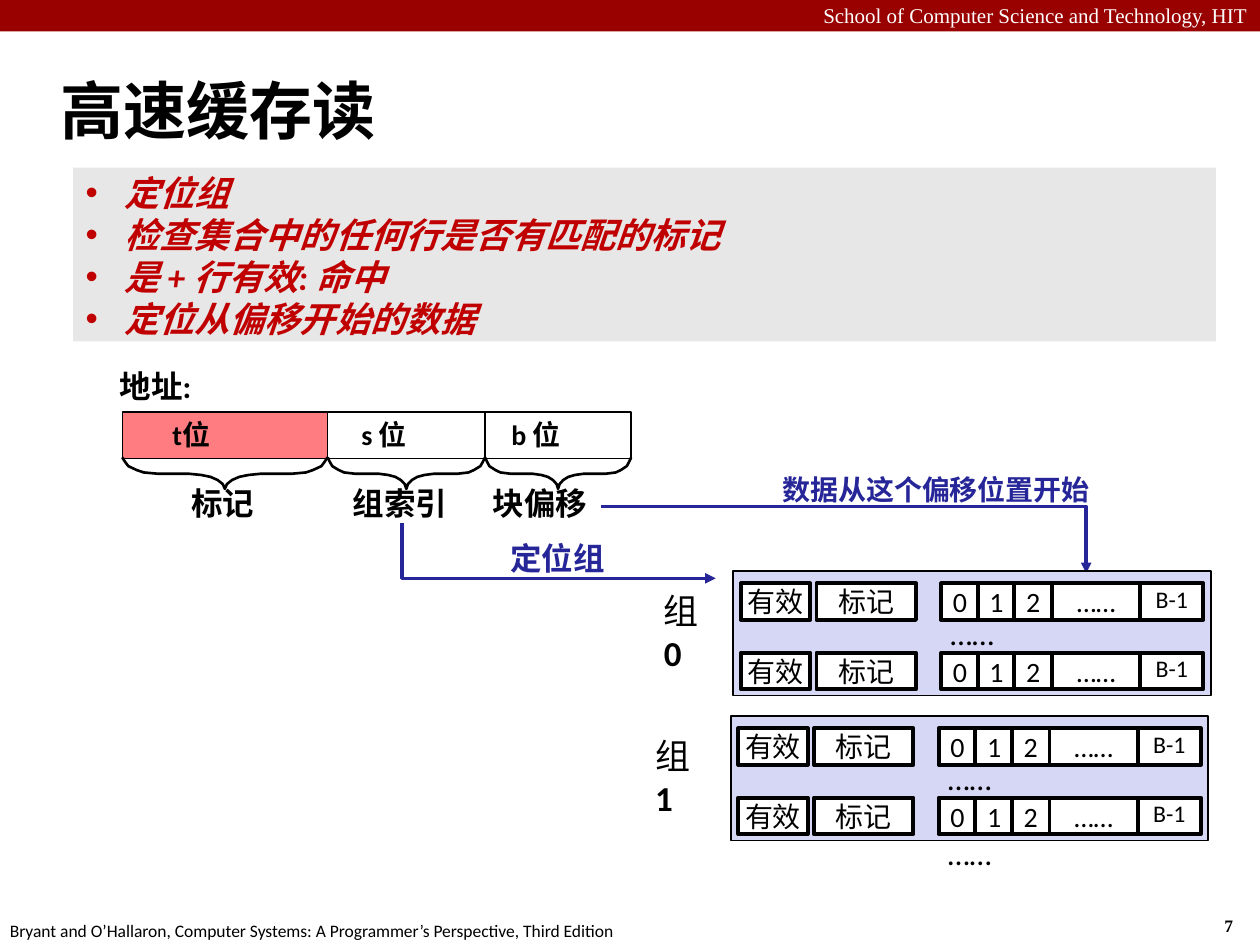
from pptx import Presentation
from pptx.dml.color import RGBColor
from pptx.enum.shapes import MSO_SHAPE as Preset
from pptx.enum.text import MSO_ANCHOR as Anchor, MSO_AUTO_SIZE as AutoSize, PP_ALIGN as Align
from pptx.oxml.ns import qn
from pptx.util import Inches, Pt
from lxml.etree import SubElement

COLORS = {
    "banner": "990000", "black": "000000", "white": "FFFFFF", "panel": "E7E7E7",
    "bullet": "C00000", "tag": "FF7C80", "arrow": "262699", "set": "D6D6F5",
}
BRACE_HALF = [
    (0, 0), (0.03, 0.15), (0.06, 0.28), (0.14, 0.4), (0.21, 0.48), (0.35, 0.52),
    (0.65, 0.52), (0.77, 0.56), (0.86, 0.62), (0.93, 0.72), (0.98, 0.85), (1, 1),
]
NO_INSETS = (0, 0, 0, 0)


def color(name):
    return RGBColor.from_string(COLORS[name])


def add_span(para, text, size, ink="black", bold=False, italic=False, font="Calibri"):
    span = para.add_run()
    span.text = text
    span.font.name = font
    span.font.size = Pt(size)
    span.font.bold = bold
    span.font.italic = italic
    span.font.color.rgb = color(ink)


def set_frame(frame, insets=(0.1, 0.05, 0.1, 0.05), anchor=Anchor.TOP, wrap=True):
    frame.auto_size = AutoSize.NONE
    frame.word_wrap = wrap
    frame.vertical_anchor = anchor
    (frame.margin_left, frame.margin_top,
     frame.margin_right, frame.margin_bottom) = map(Inches, insets)


def set_indent(para, left, first=0):
    props = para._p.get_or_add_pPr()
    props.set("marL", str(Inches(left)))
    props.set("indent", str(Inches(first)))


def place(shape, box):
    shape.left, shape.top, shape.width, shape.height = map(Inches, box)


def add_label(shapes, box, text, size, align=Align.LEFT, insets=NO_INSETS, wrap=True, **style):
    label = shapes.add_textbox(*map(Inches, box))
    set_frame(label.text_frame, insets, wrap=wrap)
    para = label.text_frame.paragraphs[0]
    para.alignment = align
    add_span(para, text, size, **style)
    return para


def add_rect(shapes, box, fill=None, line_width=0):
    rect = shapes.add_shape(Preset.RECTANGLE, *map(Inches, box))
    rect.shadow.inherit = False
    if fill:
        rect.fill.solid()
        rect.fill.fore_color.rgb = color(fill)
    else:
        rect.fill.background()
    if line_width:
        rect.line.color.rgb = color("black")
        rect.line.width = Pt(line_width)
    else:
        rect.line.fill.background()
    return rect


def add_cell(shapes, box, text, size=16, fill="white", line_width=2.25, wrap=False):
    cell = add_rect(shapes, box, fill, line_width)
    set_frame(cell.text_frame, anchor=Anchor.MIDDLE, wrap=wrap)
    para = cell.text_frame.paragraphs[0]
    para.alignment = Align.CENTER
    add_span(para, text, size)
    return para


def add_path(shapes, points, ink, width):
    corners = [(Inches(x), Inches(y)) for x, y in points]
    builder = shapes.build_freeform(*corners[0])
    builder.add_line_segments(corners[1:], close=False)
    outline = builder.convert_to_shape()
    outline.shadow.inherit = False
    outline.fill.background()
    outline.line.color.rgb = color(ink)
    outline.line.width = Pt(width)
    return outline


def add_arrow(shapes, points):
    arrow = add_path(shapes, points, "arrow", 2)
    SubElement(arrow.line._get_or_add_ln(), qn("a:tailEnd"), type="triangle")


def add_brace(shapes, box):
    left, top, width, height = box
    profile = BRACE_HALF + [(2 - x, y) for x, y in reversed(BRACE_HALF[:-1])]
    points = [(left + x * width / 2, top + y * height) for x, y in profile]
    add_path(shapes, points, "black", 1.5)


def add_banner(page, box):
    left, top, width, height = box
    add_rect(page.shapes, box, "banner")
    add_label(page.shapes, (left, top - 0.03, width, height + 0.05),
              "School of Computer Science and Technology, HIT", 12, Align.RIGHT,
              (0.1, 0.05, 0.1, 0.05), ink="white", font="Times New Roman")


def add_footer(page, box):
    left, top, width, height = box
    insets = (0.1, 0.05, 0.1, 0.05)
    add_label(page.shapes, (left, top, 5.08, height),
              "Bryant and O’Hallaron, Computer Systems: A Programmer’s Perspective, Third Edition",
              10, insets=insets, wrap=False)
    add_label(page.shapes, (left + width - 0.37, top - 0.04, 0.37, height), "7", 10,
              insets=insets, bold=True, font="Times New Roman")


def fill_title(page, box):
    title = page.shapes.title
    place(title, box)
    set_frame(title.text_frame, NO_INSETS, Anchor.MIDDLE)
    para = title.text_frame.paragraphs[0]
    para.alignment = Align.LEFT
    add_span(para, "高速缓存读", 36, bold=True)


def fill_steps(page, box):
    body = page.placeholders[1]
    place(body, box)
    body.fill.solid()
    body.fill.fore_color.rgb = color("panel")
    frame = body.text_frame
    set_frame(frame, (0, 0.03, 0, 0))
    steps = ["定位组", "检查集合中的任何行是否有匹配的标记", "是 + 行有效: 命中", "定位从偏移开始的数据"]
    for index, step in enumerate(steps):
        para = frame.add_paragraph() if index else frame.paragraphs[0]
        set_indent(para, 0.41, -0.31)
        para.space_before = Pt(0 if index else 2.4)
        add_span(para, step, 20, "bullet", bold=True, italic=True)


def add_address(page, box):
    left, top, width, height = box
    shapes = page.shapes.add_group_shape().shapes
    add_label(shapes, (left, top, 2.7, 0.3), "地址:", 18, bold=True)
    fields = [
        ("t位", 1.63, 0.3, "tag", "标记", 0.55),
        ("s 位", 1.25, 0.17, None, "组索引", 0.2),
        ("b 位", 1.16, 0.11, None, "块偏移", 0.06),
    ]
    x = left + 0.02
    for bits, size, indent, fill, name, name_offset in fields:
        cell = add_rect(shapes, (x, top + 0.36, size, 0.37), fill, 0.75)
        set_frame(cell.text_frame)
        para = cell.text_frame.paragraphs[0]
        para.alignment = Align.LEFT
        para.line_spacing = Pt(18.8)
        set_indent(para, indent)
        add_span(para, bits, 16, bold=True)
        add_brace(shapes, (x, top + 0.72, size, 0.25))
        add_label(shapes, (x + name_offset, top + 0.93, 1, 0.3), name, 18, bold=True)
        x += size


def add_arrows(page):
    shapes = page.shapes
    add_arrow(shapes, [(4.77, 4.02), (8.62, 4.02), (8.62, 4.55)])
    add_label(shapes, (6.12, 3.75, 2.53, 0.27), "数据从这个偏移位置开始", 16, Align.RIGHT,
              ink="arrow", bold=True)
    add_arrow(shapes, [(3.19, 4.15), (3.19, 4.59), (5.68, 4.59)])
    add_label(shapes, (3.81, 4.28, 1.23, 0.3), "定位组", 18, Align.CENTER, ink="arrow", bold=True)


def add_cache_set(page, box, number, label_left):
    left, top, width, height = box
    label = add_label(page.shapes, (label_left, top + 0.15, 0.62, 0.7), "组", 20,
                      insets=(0.1, 0, 0.2, 0))
    add_span(label, number, 20, bold=True)
    shapes = page.shapes.add_group_shape().shapes
    add_cell(shapes, box, "……", 18, "set", 1, wrap=True)
    cells = [("有效", 0.06, 0.55), ("标记", 0.66, 0.79), ("0", 1.65, 0.3), ("1", 1.94, 0.3),
             ("2", 2.23, 0.3), ("……", 2.53, 0.7), ("B-1", 3.23, 0.5)]
    for row in range(2):
        for text, offset, size in cells:
            cell_box = (left + offset, top + 0.1 + 0.55 * row, size, 0.29)
            if text == "B-1":
                add_cell(shapes, cell_box, text, 13.6).line_spacing = 0.8
            else:
                add_cell(shapes, cell_box, text)


def main():
    deck = Presentation()
    deck.slide_width, deck.slide_height = Inches(10), Inches(7.5)
    page = deck.slides.add_slide(deck.slide_layouts[1])
    add_banner(page, (0, 0, 10, 0.25))
    add_footer(page, (-0.02, 7.25, 10.01, 0.27))
    fill_title(page, (0.48, 0.56, 2.63, 0.61))
    fill_steps(page, (0.58, 1.33, 9.07, 1.38))
    add_address(page, (0.95, 2.91, 4.08, 1.23))
    add_arrows(page)
    add_cache_set(page, (5.82, 4.53, 3.79, 0.99), "0", 5.17)
    add_cache_set(page, (5.8, 5.68, 3.79, 0.99), "1", 5.1)
    add_label(page.shapes, (5.81, 6.57, 3.77, 0.4), "……", 18, Align.CENTER,
              (0.1, 0.05, 0.1, 0.05))
    deck.save("out.pptx")


if __name__ == "__main__":
    main()
